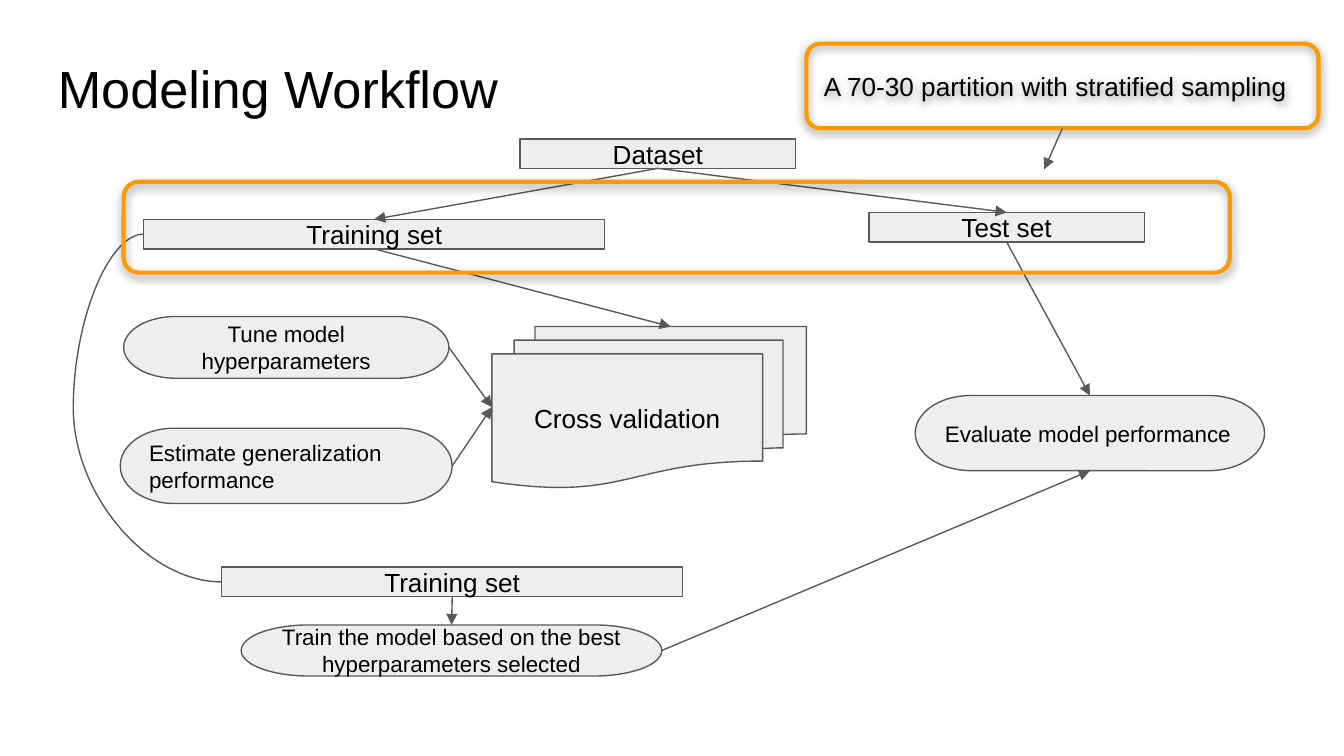
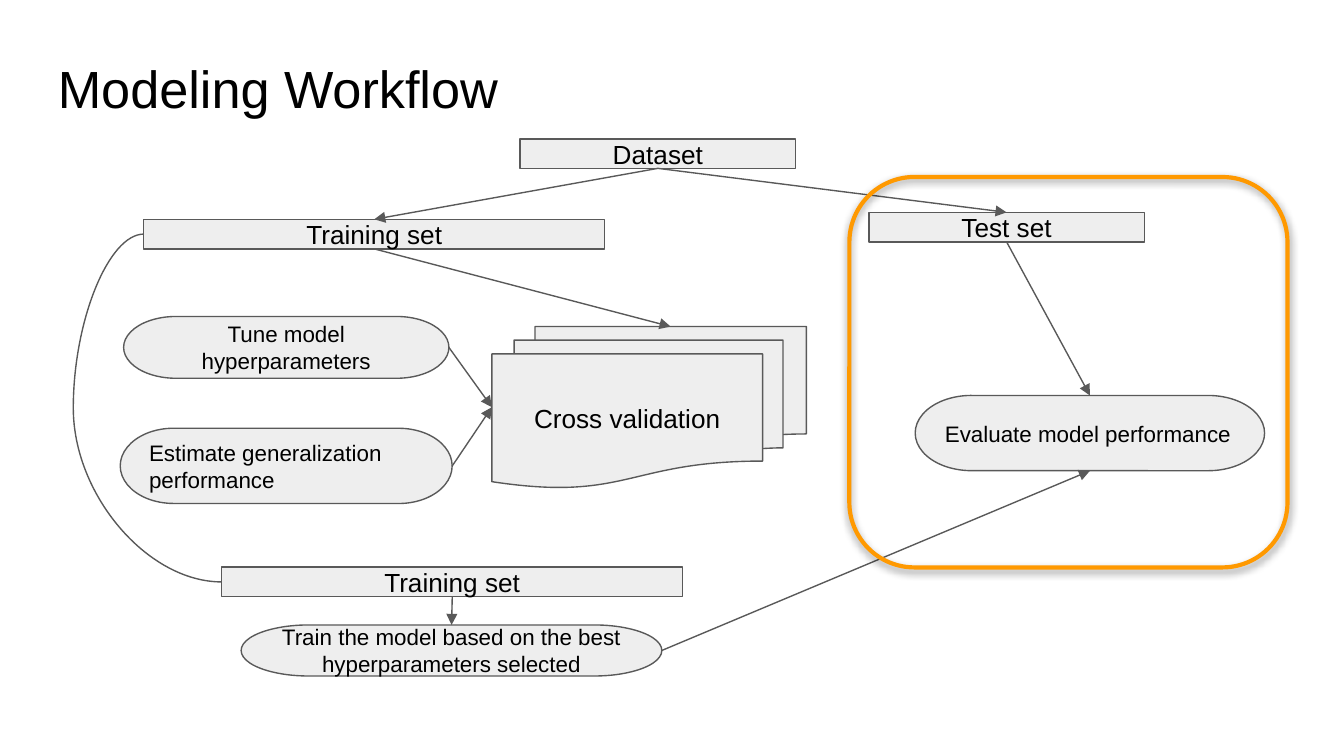
from lxml.etree import SubElement
from pptx import Presentation
from pptx.dml.color import RGBColor
from pptx.enum.shapes import MSO_CONNECTOR as LINK, MSO_SHAPE as SHAPE
from pptx.enum.text import MSO_ANCHOR, MSO_AUTO_SIZE, PP_ALIGN
from pptx.oxml.ns import qn
from pptx.util import Inches, Pt

BLACK = RGBColor(0x00, 0x00, 0x00)
GREY = RGBColor(0x59, 0x59, 0x59)
PALE = RGBColor(0xEE, 0xEE, 0xEE)
ORANGE = RGBColor(0xFF, 0x99, 0x00)
FONT = "Arial"
CELL = Inches(0.1)  # the slide is a grid of 100 columns and 56.25 rows
PAD = CELL
TOP, LEFT, BOTTOM, RIGHT = range(4)
BAR, PILL, STACK = SHAPE.RECTANGLE, SHAPE.FLOWCHART_TERMINATOR, SHAPE.FLOWCHART_MULTIDOCUMENT
MID, START = PP_ALIGN.CENTER, PP_ALIGN.LEFT

# key: kind, column, row, columns, rows, text, size, alignment
NODES = {
    "train": (BAR, 10.7, 16.32, 34.3, 2.2, "Training set", 14, MID),
    "data": (BAR, 38.7, 10.33, 20.5, 2.2, "Dataset", 14, MID),
    "test": (BAR, 64.65, 15.8, 20.5, 2.2, "Test set", 14, MID),
    "cross": (STACK, 36.6, 24.3, 23.4, 12, "Cross validation", 14, MID),
    "tune": (PILL, 9.2, 23.55, 24.2, 4.6, "Tune model hyperparameters", 12, MID),
    "guess": (PILL, 8.95, 31.87, 24.7, 5.6, "Estimate generalization performance", 12, START),
    "fit": (PILL, 17.95, 46.5, 31.3, 3.8,
            "Train the model based on the best hyperparameters selected", 12, MID),
    "again": (BAR, 16.5, 42.2, 34.3, 2.2, "Training set", 14, MID),
    "score": (PILL, 68.1, 29.43, 26, 5.6, "Evaluate model performance", 12, START),
}
# from, side, to, side
ARROWS = [
    ("data", BOTTOM, "train", TOP),
    ("data", BOTTOM, "test", TOP),
    ("tune", RIGHT, "cross", LEFT),
    ("guess", RIGHT, "cross", LEFT),
    ("again", BOTTOM, "fit", TOP),
    ("fit", RIGHT, "score", BOTTOM),
    ("test", BOTTOM, "score", TOP),
]
# frames around the parts under discussion, one list for each slide
FRAMES = [
    [(9.2, 13.53, 82.3, 6.75, ""),
     (60, 3.25, 38.1, 6.3, "A 70-30 partition with stratified sampling")],
    [(63.2, 13.17, 32.6, 29.05, "")],
]


def add_box(slide, kind, left, top, width, height, text="", size=14, align=START):
    box = slide.shapes.add_shape(
        kind, *(int(n * CELL) for n in (left, top, width, height)))
    box.shadow.inherit = False
    box.fill.solid()
    box.fill.fore_color.rgb = PALE
    box.line.color.rgb = GREY
    box.line.width = Pt(0.75)
    frame = box.text_frame
    frame.word_wrap = True
    frame.vertical_anchor = MSO_ANCHOR.MIDDLE
    frame.margin_left = frame.margin_right = frame.margin_top = frame.margin_bottom = PAD
    frame.text = text
    para = frame.paragraphs[0]
    para.alignment = align
    para.font.name, para.font.size = FONT, Pt(size)
    para.font.color.rgb = BLACK
    return box


def add_link(slide, start, side, end, port=None, kind=LINK.STRAIGHT):
    """Join a box's side to another's, or to a free (column, row) point without port."""
    spot = (0, 0) if port is not None else [int(n * CELL) for n in end]
    link = slide.shapes.add_connector(kind, 0, 0, *spot)
    link.begin_connect(start, side)
    if port is not None:
        link.end_connect(end, port)
    link.line.color.rgb = GREY
    link.line.width = Pt(0.75)
    props = link._element.spPr
    if kind == LINK.STRAIGHT:
        SubElement(props.find(qn("a:ln")), qn("a:tailEnd"), type="triangle")
    SubElement(props, qn("a:effectLst"))
    return link


deck = Presentation()
deck.slide_width, deck.slide_height = 100 * CELL, int(56.25 * CELL)

for frames in FRAMES:
    slide = deck.slides.add_slide(deck.slide_layouts[5])
    title = slide.shapes.title
    title.left, title.top, title.width, title.height = (
        int(n * CELL) for n in (3.3, 3.2, 93.2, 6.3))
    words = title.text_frame
    words.text = "Modeling Workflow"
    words.auto_size = MSO_AUTO_SIZE.NONE
    words.vertical_anchor = MSO_ANCHOR.TOP
    words.margin_left = words.margin_right = words.margin_top = words.margin_bottom = PAD
    head = words.paragraphs[0]
    head.alignment = START
    head.font.name, head.font.size = FONT, Pt(28)
    head.font.color.rgb = BLACK

    boxes = {key: add_box(slide, *node) for key, node in NODES.items()}
    for start, side, end, port in ARROWS:
        add_link(slide, boxes[start], side, boxes[end], port)
    add_link(slide, boxes["train"], BOTTOM, (49.9, 24.3))
    curve = add_link(slide, boxes["train"], LEFT, boxes["again"], LEFT, LINK.CURVE)
    bends = curve._element.spPr.find(qn("a:prstGeom")).get_or_add_avLst()
    SubElement(bends, qn("a:gd"), name="adj1", fmla="val -90500")

    for *area, text in frames:
        ring = add_box(slide, SHAPE.ROUNDED_RECTANGLE, *area, text)
        ring.fill.background()
        ring.line.color.rgb = ORANGE
        ring.line.width = Pt(2.25)
        glow = SubElement(
            ring._element.spPr.find(qn("a:effectLst")), qn("a:outerShdw"),
            blurRad=str(Pt(4.5)), dist=str(Pt(1.5)), dir="5400000",
            algn="bl", rotWithShape="0")
        shade = SubElement(glow, qn("a:srgbClr"), val=str(BLACK))
        SubElement(shade, qn("a:alpha"), val="43000")
        if text:
            add_link(slide, ring, BOTTOM, (77.7, 12.6))

deck.save("out.pptx")
